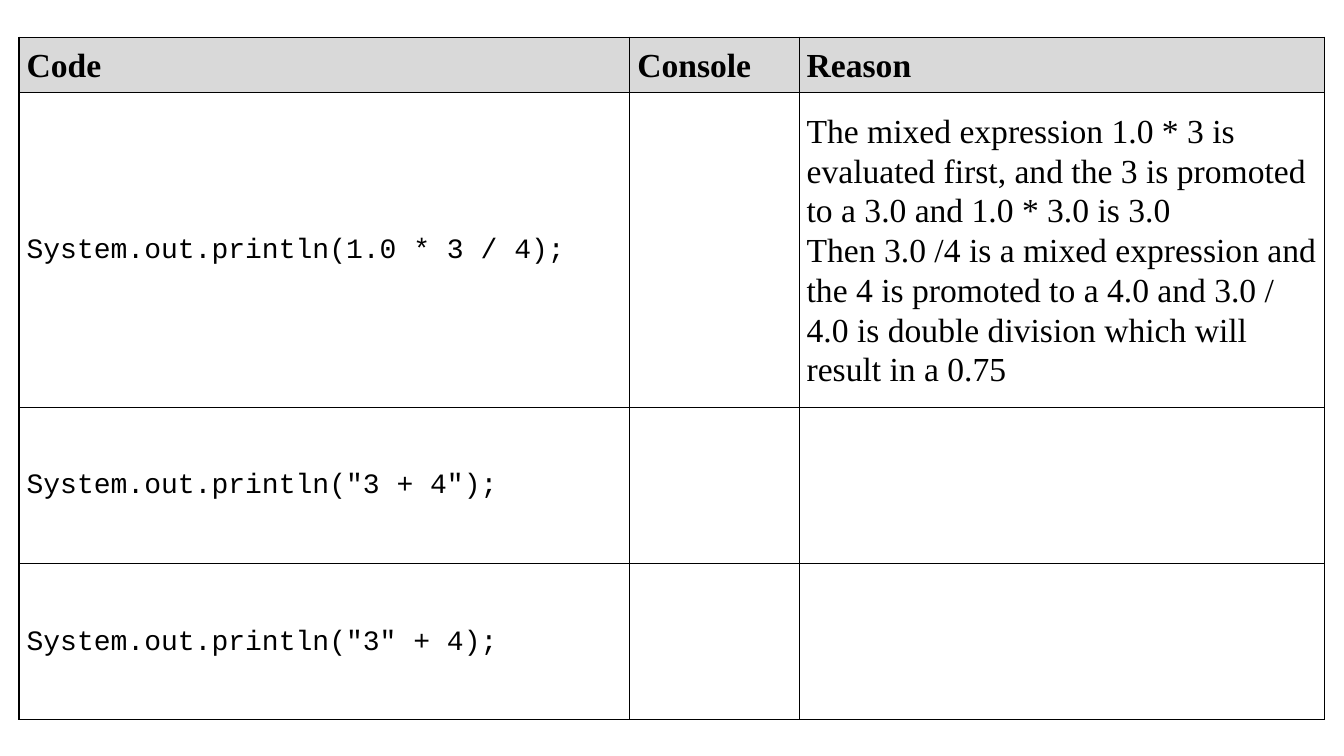
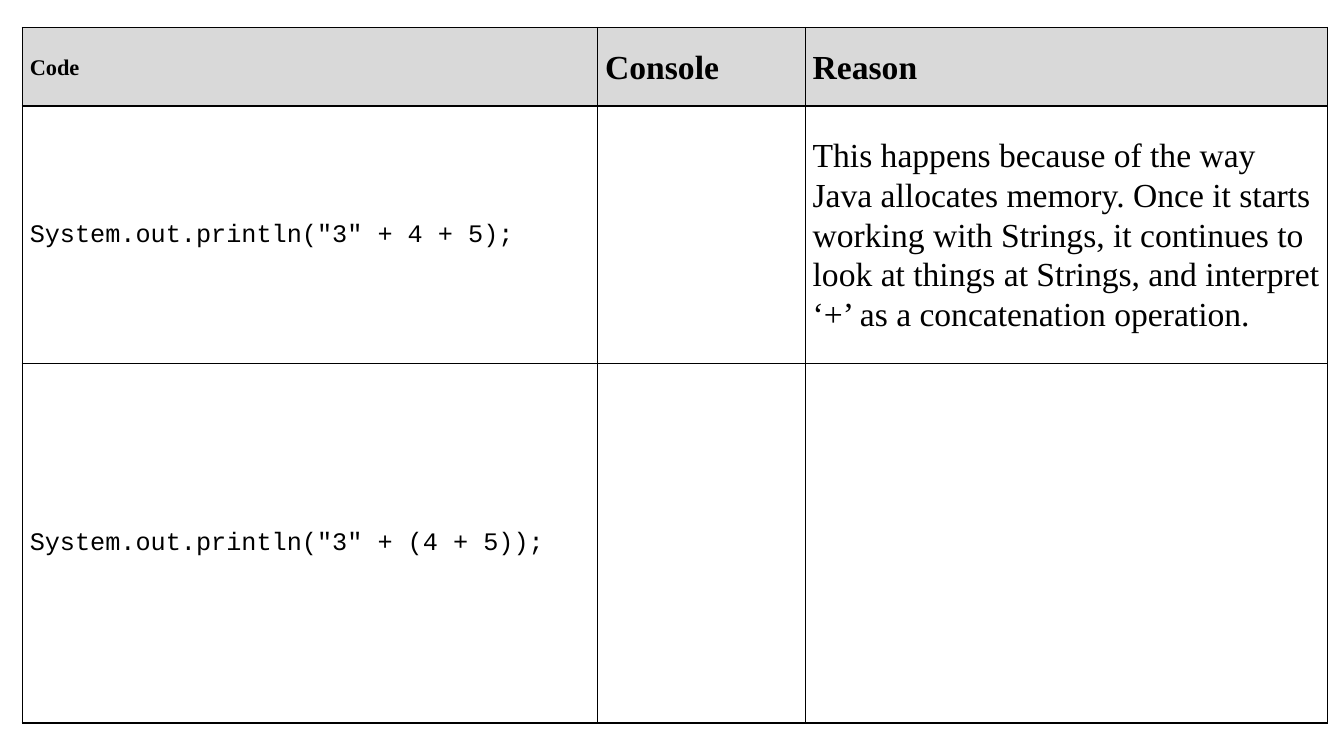
from lxml import etree
from pptx import Presentation
from pptx.dml.color import RGBColor
from pptx.enum.text import MSO_ANCHOR
from pptx.oxml.ns import qn
from pptx.util import Cm, Pt

MIDDLE = MSO_ANCHOR.MIDDLE
BLACK, HEADER_GRAY, WHITE = "000000", "D9D9D9", "FFFFFF"
SERIF, MONO = "Times New Roman", "Courier New"
TEXT_SIZE = 24
LINE_SPACING = 1.07
BORDER_SIDES = ("a:lnL", "a:lnR", "a:lnT", "a:lnB")
CELL_FORMAT = {
    "vertical_anchor": MIDDLE,
    "margin_left": Cm(0.19), "margin_right": Cm(0.19),
    "margin_top": 0, "margin_bottom": 0,
}
HEADINGS = ("Code", "Console", "Reason")

# Each row holds code, console output and the paragraphs of the reason.
TABLES = [
    {
        "corner": (0.48, 0.94),
        "columns": (15.39, 4.27, 13.23),
        "heights": (1.4, 7.92, 3.94, 3.94),
        "code_heading_size": 24,
        "code_size": 20,
        "rows": [
            ("System.out.println(1.0 * 3 / 4);", "",
             "The mixed expression 1.0 * 3 is evaluated first, and the 3 is "
             "promoted to a 3.0 and 1.0 * 3.0 is 3.0\n"
             "Then 3.0 /4 is a mixed expression and the 4 is promoted to a 4.0 "
             "and 3.0 / 4.0 is double division which will result in a 0.75"),
            ('System.out.println("3 + 4");', "", ""),
            ('System.out.println("3" + 4);', "", ""),
        ],
    },
    {
        "corner": (0.56, 0.69),
        "columns": (14.5, 5.23, 13.16),
        "heights": (1.98, 6.48, 9.07),
        "code_heading_size": 16,
        "code_size": 18,
        "rows": [
            ('System.out.println("3" + 4 + 5);', "",
             "This happens because of the way Java allocates memory. Once it "
             "starts working with Strings, it continues to look at things at "
             "Strings, and interpret ‘+’ as a concatenation operation."),
            ('System.out.println("3" + (4 + 5));', "", ""),
        ],
    },
]


def color(code):
    return RGBColor.from_string(code)


def set_format(target, values):
    for name, value in values.items():
        setattr(target, name, value)


def add_borders(cell):
    properties = cell._tc.get_or_add_tcPr()
    for side in BORDER_SIDES:
        line = etree.SubElement(properties, qn(side), w=str(Pt(1)))
        fill = etree.SubElement(line, qn("a:solidFill"))
        etree.SubElement(fill, qn("a:srgbClr"), val=BLACK)


def fill_cell(cell, text, font_format, background):
    set_format(cell, CELL_FORMAT)
    add_borders(cell)
    cell.fill.solid()
    cell.fill.fore_color.rgb = color(background)
    if not text:
        return
    cell.text = text
    for para in cell.text_frame.paragraphs:
        para.line_spacing = LINE_SPACING
        for span in para.runs:
            set_format(span.font, font_format)
            span.font.color.rgb = color(BLACK)


def cell_style(content, is_header, is_code):
    """Return the font format and background for a cell."""
    size = TEXT_SIZE
    if is_code:
        size = content["code_heading_size" if is_header else "code_size"]
    font_format = {
        "name": MONO if is_code and not is_header else SERIF,
        "size": Pt(size),
        "bold": is_header,
    }
    return font_format, HEADER_GRAY if is_header else WHITE


def add_code_table(page, content):
    columns, heights = content["columns"], content["heights"]
    left, top = content["corner"]
    table = page.shapes.add_table(
        len(heights), len(columns), Cm(left), Cm(top),
        Cm(sum(columns)), Cm(sum(heights))).table
    for column, width in zip(table.columns, columns):
        column.width = Cm(width)
    for row, height in zip(table.rows, heights):
        row.height = Cm(height)
    for row_index, texts in enumerate([HEADINGS, *content["rows"]]):
        for column_index, text in enumerate(texts):
            style = cell_style(content, row_index == 0, column_index == 0)
            fill_cell(table.cell(row_index, column_index), text, *style)


def main():
    deck = Presentation()
    deck.slide_width, deck.slide_height = Cm(33.87), Cm(19.05)
    for content in TABLES:
        page = deck.slides.add_slide(deck.slide_layouts[6])
        add_code_table(page, content)
    deck.save("out.pptx")


if __name__ == "__main__":
    main()
